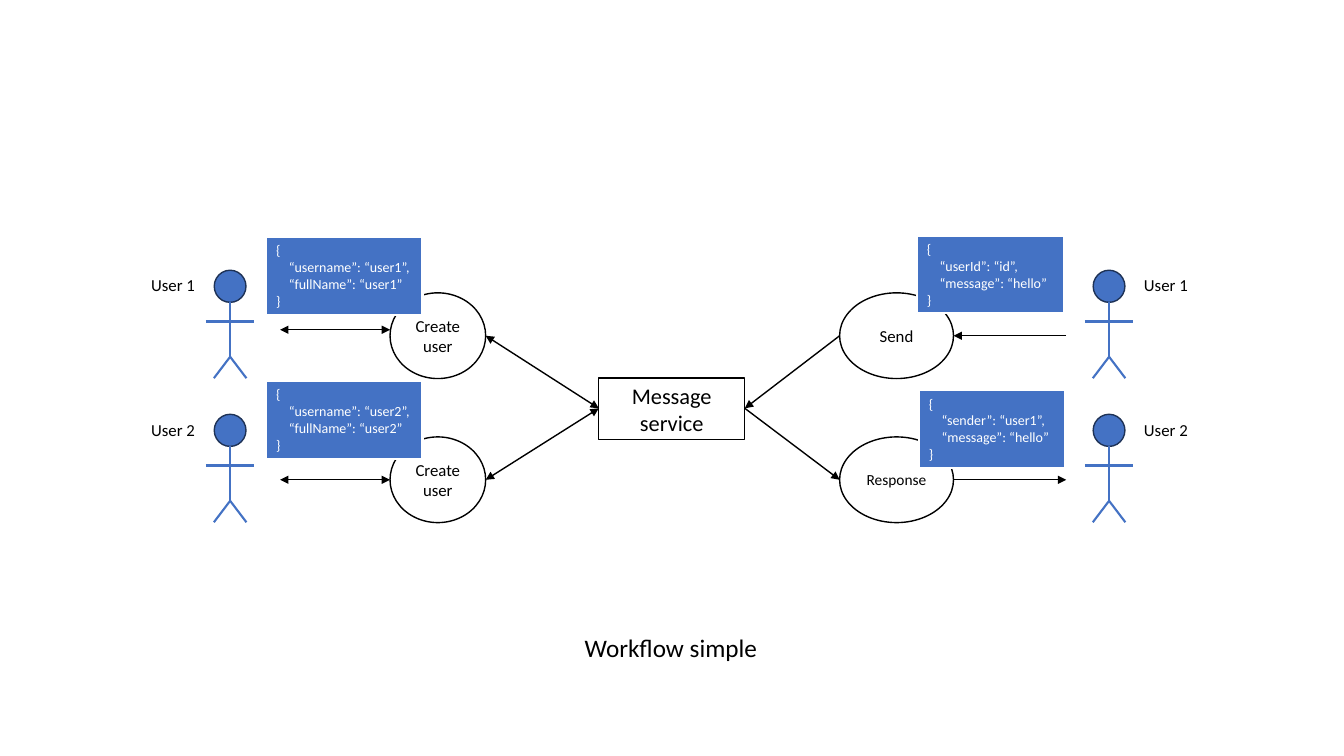
from lxml.etree import SubElement
from pptx import Presentation
from pptx.dml.color import RGBColor
from pptx.enum.shapes import MSO_CONNECTOR, MSO_SHAPE
from pptx.enum.text import MSO_ANCHOR, MSO_AUTO_SIZE, PP_ALIGN
from pptx.oxml.ns import qn
from pptx.util import Cm, Pt

BLACK, WHITE, BLUE, NAVY = "000000", "FFFFFF", "4472C4", "1E3256"
STEP = 3.63


def tint(color):
    return RGBColor.from_string(color)


def write(frame, lines, size, color=BLACK, align=PP_ALIGN.LEFT):
    frame.text = "\n".join(lines)
    for par in frame.paragraphs:
        par.alignment = align
        par.font.name = "Calibri"
        par.font.size = Pt(size)
        par.font.color.rgb = tint(color)


def shape(slide, kind, box, fill, line, width=1):
    item = slide.shapes.add_shape(kind, *map(Cm, box))
    item.shadow.inherit = False
    item.fill.solid()
    item.fill.fore_color.rgb = tint(fill)
    item.line.color.rgb = tint(line)
    item.line.width = Pt(width)
    return item


def node(slide, kind, box, text, size):
    item = shape(slide, kind, box, WHITE, BLACK)
    write(item.text_frame, [text], size, align=PP_ALIGN.CENTER)


def line(slide, start, end, color=BLACK, width=1, ends=()):
    item = slide.shapes.add_connector(
        MSO_CONNECTOR.STRAIGHT, *map(Cm, (*start, *end)))
    item.line.color.rgb = tint(color)
    item.line.width = Pt(width)
    for tag in ends:
        SubElement(item.line._get_or_add_ln(), qn(tag), type="triangle")
    SubElement(item._element.spPr, qn("a:effectLst"))


def arrow(slide, start, end, both=False):
    ends = ("a:headEnd", "a:tailEnd") if both else ("a:tailEnd",)
    line(slide, start, end, ends=ends)


def person(slide, mid, top):
    shape(slide, MSO_SHAPE.OVAL, (mid - 0.4, top, 0.8, 0.81), BLUE, NAVY)
    neck, arm, hip, foot = (top + drop for drop in (0.81, 1.29, 2.18, 2.72))
    for start, end in (
        ((mid, neck), (mid, hip)),
        ((mid, hip), (mid - 0.41, foot)),
        ((mid, hip), (mid + 0.41, foot)),
        ((mid - 0.61, arm), (mid + 0.61, arm)),
    ):
        line(slide, start, end, BLUE, 1.5)


def label(slide, left, top, text):
    frame = slide.shapes.add_textbox(*map(Cm, (left, top, 1.63, 0.76))).text_frame
    frame.word_wrap = False
    write(frame, [text], 12)


def card(slide, box, fields):
    item = shape(slide, MSO_SHAPE.RECTANGLE, box, BLUE, WHITE, 1.5)
    frame = item.text_frame
    frame.vertical_anchor = MSO_ANCHOR.TOP
    write(frame, ["{", *fields, "}"], 10, WHITE)
    for par in frame.paragraphs[1:-1]:
        par._p.get_or_add_pPr().set("marL", str(Cm(0.32)))


def title(slide, box, text):
    item = slide.shapes.title
    item.left, item.top, item.width, item.height = map(Cm, box)
    frame = item.text_frame
    frame.word_wrap = False
    frame.auto_size = MSO_AUTO_SIZE.NONE
    frame.vertical_anchor = MSO_ANCHOR.TOP
    write(frame, [text], 18)


def main():
    deck = Presentation()
    deck.slide_width, deck.slide_height = Cm(33.87), Cm(19.05)
    slide = deck.slides.add_slide(deck.slide_layouts[5])
    title(slide, (14.48, 15.8, 4.9, 1.02), "Workflow simple")

    node(slide, MSO_SHAPE.RECTANGLE, (15.09, 9.53, 3.68, 1.55), "Message service", 16)
    hub = 10.29
    for row, (text, size) in enumerate((("Send", 12), ("Response", 11))):
        drop = row * STEP
        mid = 8.46 + drop
        node(slide, MSO_SHAPE.OVAL, (9.83, 7.38 + drop, 2.41, 2.16), "Create user", 12)
        node(slide, MSO_SHAPE.OVAL, (21.16, 7.38 + drop, 2.87, 2.16), text, size)
        for axis, left in ((5.8, 3.56), (27.95, 28.58)):
            person(slide, axis, 6.81 + drop)
            label(slide, left, 6.81 + drop, f"User {row + 1}")
        arrow(slide, (12.24, mid), (15.09, hub), both=True)

    for level in (8.31, 12.09):
        arrow(slide, (7.06, level), (9.83, level), both=True)
    arrow(slide, (26.87, 8.46), (24.03, 8.46))
    arrow(slide, (21.16, 8.46), (18.77, hub))
    arrow(slide, (18.77, hub), (21.16, 12.09))
    arrow(slide, (24.03, 12.09), (26.87, 12.09))

    for row, user in enumerate(("user1", "user2")):
        card(slide, (6.71, 5.97 + row * STEP, 3.94, 1.96),
             (f"“username”: “{user}”,", f"“fullName”: “{user}”"))
    card(slide, (23.11, 5.94, 3.7, 1.96), ("“userId”: “id”,", "“message”: “hello”"))
    card(slide, (23.16, 9.83, 3.68, 1.96), ("“sender”: “user1”,", "“message”: “hello”"))
    deck.save("out.pptx")


if __name__ == "__main__":
    main()
